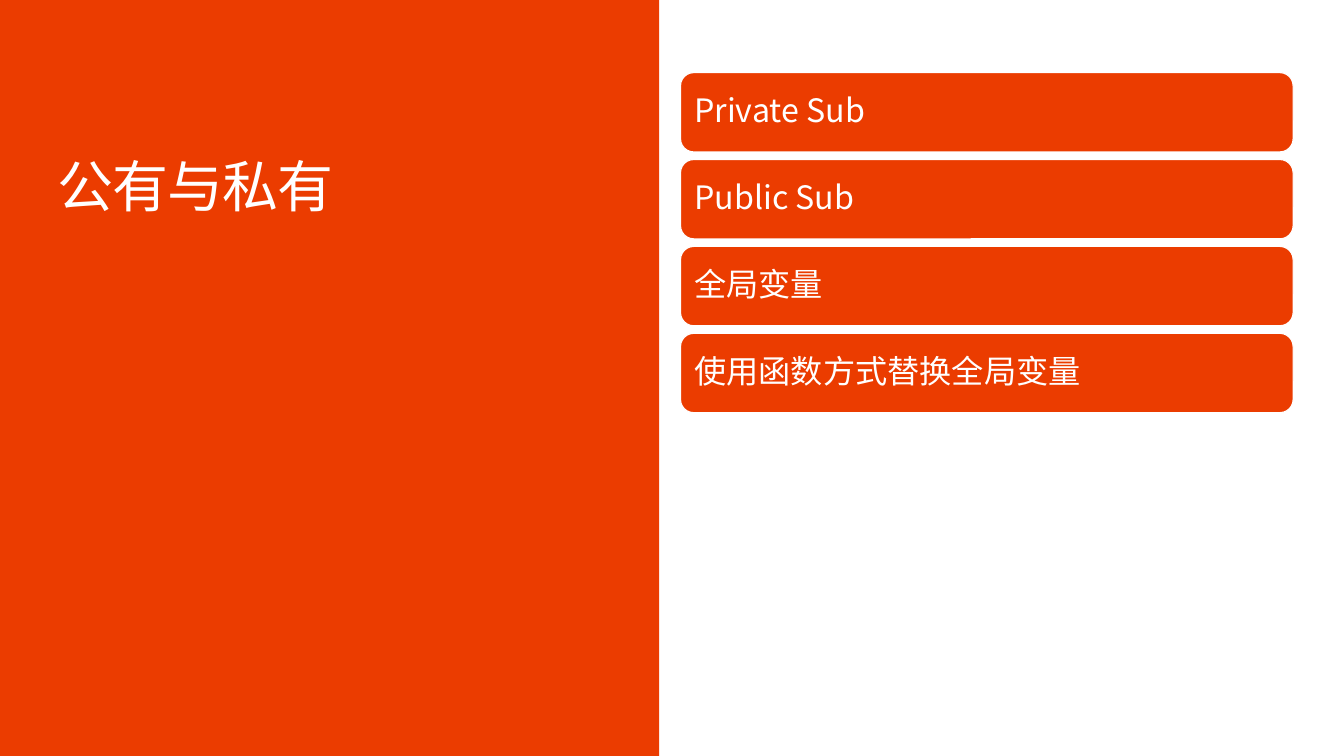
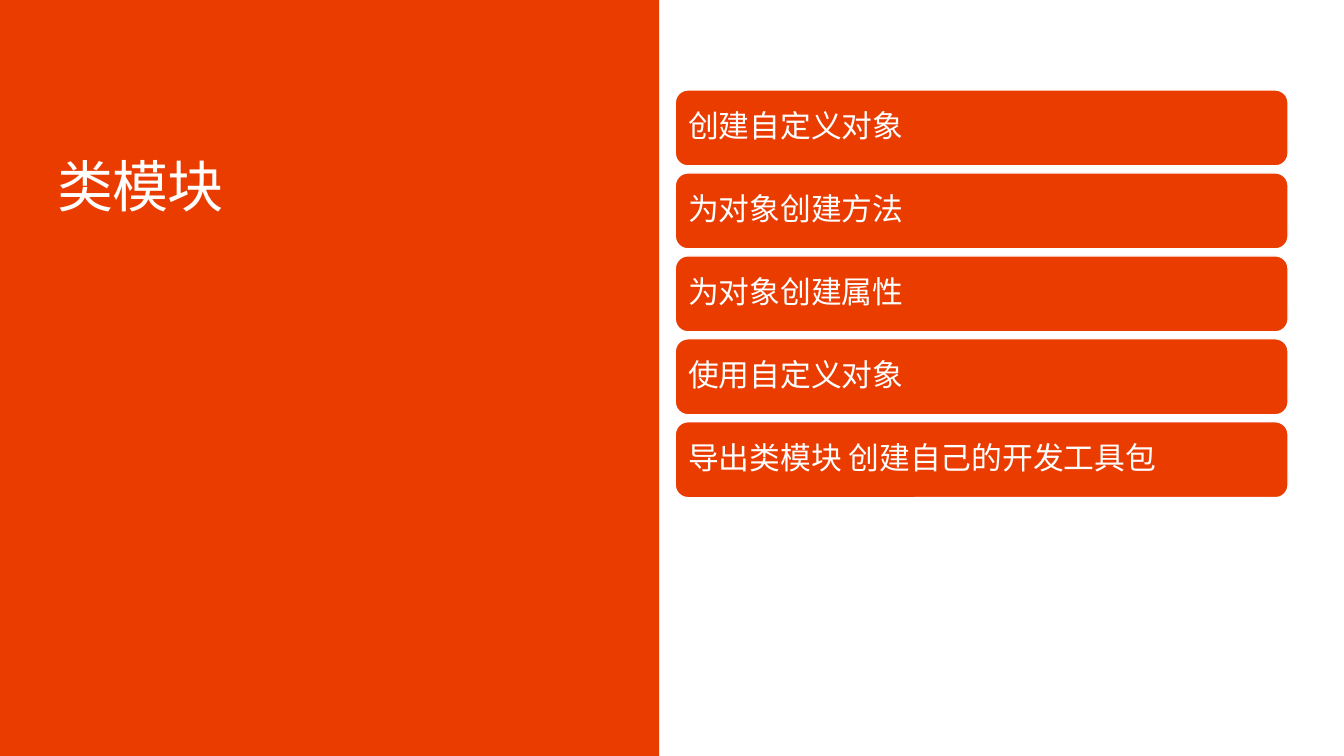
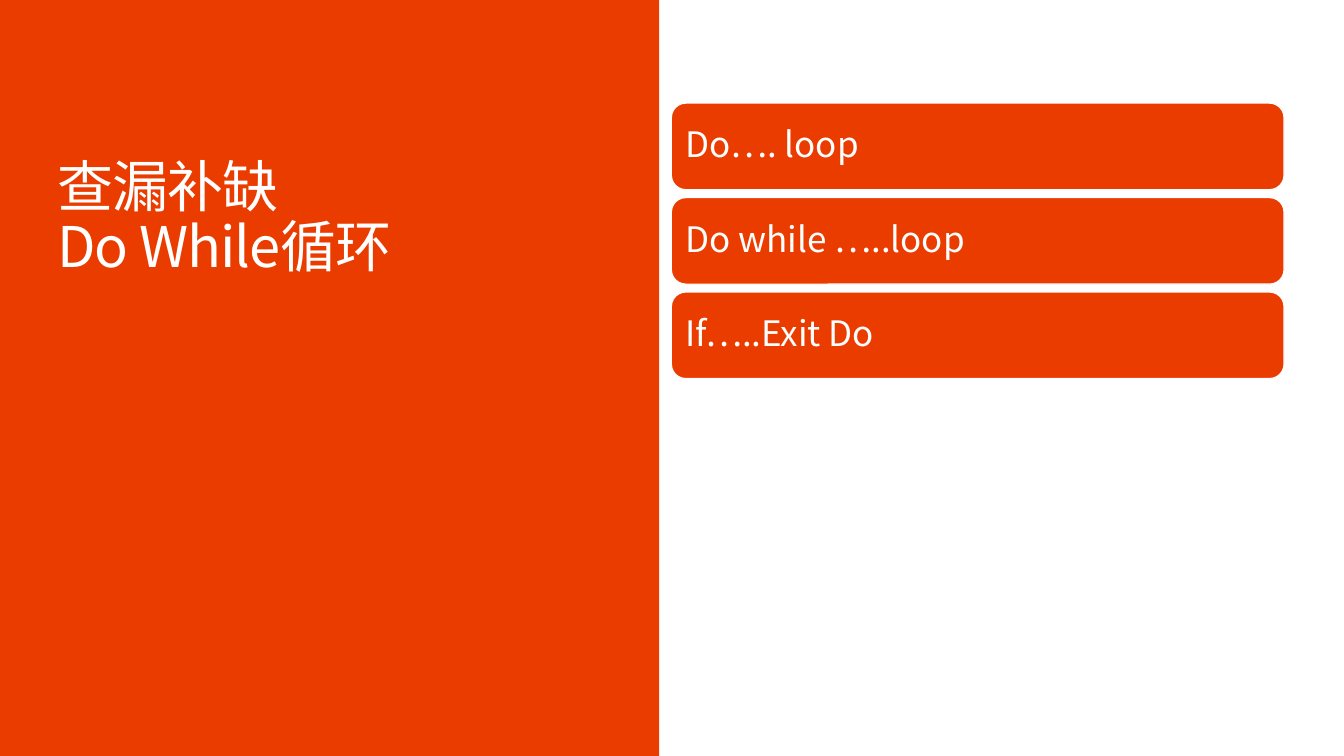
from lxml import etree
from pptx import Presentation
from pptx.dml.color import RGBColor
from pptx.enum.shapes import MSO_SHAPE as Preset
from pptx.enum.text import MSO_ANCHOR as Anchor, MSO_AUTO_SIZE as AutoSize, PP_ALIGN as Align
from pptx.oxml.ns import qn
from pptx.util import Cm, Pt

ORANGE = "EB3C00"
WHITE = "FFFFFF"
FONT = "Noto Sans CJK SC"
TOPIC_WIDTH = 15.44

LESSONS = [
    {
        "heading": "公有与私有",
        "topics": ["Private Sub", "Public Sub", "全局变量", "使用函数方式替换全局变量"],
        "left": 17.15, "top": 1.83, "height": 2, "gap": 0.19, "size": 23, "inset": 0.25,
    },
    {
        "heading": "类模块",
        "topics": ["创建自定义对象", "为对象创建方法", "为对象创建属性", "使用自定义对象",
                   "导出类模块 创建自己的开发工具包"],
        "left": 17.02, "top": 2.27, "height": 1.91, "gap": 0.18, "size": 22, "inset": 0.23,
    },
    {
        "heading": "查漏补缺\nDo While循环",
        "topics": ["Do…. loop", "Do while …..loop", "If…..Exit Do"],
        "left": 16.92, "top": 2.6, "height": 2.18, "gap": 0.2, "size": 25, "inset": 0.25,
    },
]


def color(hex_string):
    return RGBColor.from_string(hex_string)


def set_text(shape, text, size, anchor, inset, spacing=0):
    frame = shape.text_frame
    frame.text = text
    frame.word_wrap = True
    frame.auto_size = AutoSize.NONE
    frame.vertical_anchor = anchor
    frame.margin_left = frame.margin_right = Cm(inset)
    frame.margin_top = frame.margin_bottom = Cm(inset)
    for paragraph in frame.paragraphs:
        paragraph.alignment = Align.LEFT
        paragraph.line_spacing = 0.9
        paragraph.space_before = Pt(0)
        for run in paragraph.runs:
            run.font.size = Pt(size)
            run.font.name = FONT
            run.font.color.rgb = color(WHITE)
            properties = run.font._element
            etree.SubElement(properties, qn("a:ea")).set("typeface", FONT)
            if spacing:
                properties.set("spc", str(spacing))


prs = Presentation()
prs.slide_width = Cm(33.87)
prs.slide_height = Cm(19.05)

for lesson in LESSONS:
    slide = prs.slides.add_slide(prs.slide_layouts[5])
    slide.background.fill.solid()
    slide.background.fill.fore_color.rgb = color(WHITE)

    band = slide.shapes.add_shape(Preset.RECTANGLE, Cm(-0.03), 0, Cm(16.64), prs.slide_height)
    band.shadow.inherit = False
    band.fill.solid()
    band.fill.fore_color.rgb = color(ORANGE)
    band.line.fill.background()

    heading = slide.shapes.title
    heading.left, heading.top = Cm(1.45), Cm(4.01)
    heading.width, heading.height = Cm(14.53), Cm(4.62)
    set_text(heading, lesson["heading"], 40, Anchor.TOP, 0, spacing=-70)
    band._element.addnext(heading._element)

    for index, topic in enumerate(lesson["topics"]):
        top = lesson["top"] + index * (lesson["height"] + lesson["gap"])
        topic_bar = slide.shapes.add_shape(
            Preset.ROUNDED_RECTANGLE, Cm(lesson["left"]), Cm(top),
            Cm(TOPIC_WIDTH), Cm(lesson["height"]))
        topic_bar.shadow.inherit = False
        topic_bar.fill.solid()
        topic_bar.fill.fore_color.rgb = color(ORANGE)
        topic_bar.line.color.rgb = color(WHITE)
        topic_bar.line.width = Pt(0.85)
        set_text(topic_bar, topic, lesson["size"], Anchor.MIDDLE, lesson["inset"])

prs.save("out.pptx")
